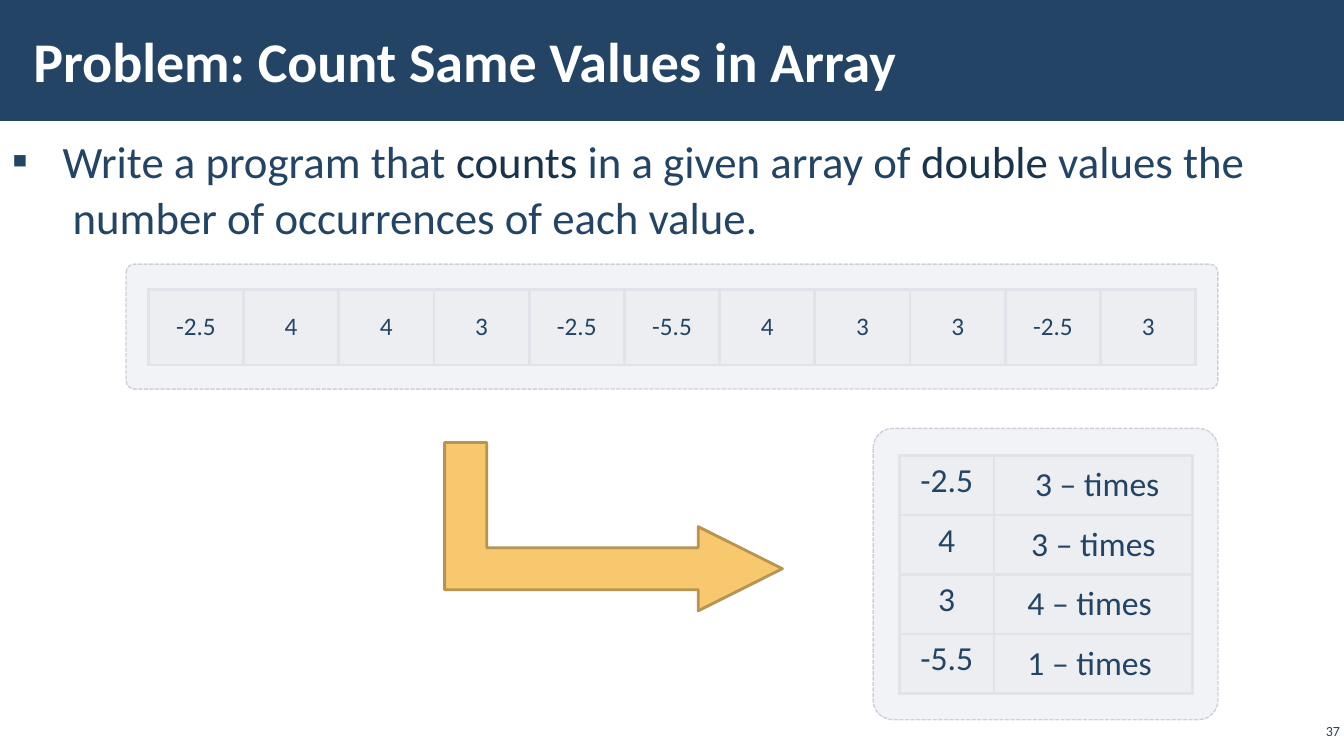
from lxml.etree import SubElement
from pptx import Presentation
from pptx.dml.color import RGBColor
from pptx.enum.dml import MSO_LINE
from pptx.enum.shapes import MSO_SHAPE
from pptx.enum.text import MSO_ANCHOR, PP_ALIGN
from pptx.oxml.ns import qn
from pptx.util import Inches, Pt

# Content
TITLE = "Problem: Count Same Values in Array"
PAGE_NUMBER = "37"
TASK_LINES = [
    [("Write a program that ", False), ("counts", True),
     (" in a given array of ", False), ("double", True), (" values the", False)],
    [(" number of occurrences of each value.", False)],
]
ARRAY_ROWS = [["-2.5", "4", "4", "3", "-2.5", "-5.5", "4", "3", "3", "-2.5", "3"]]
COUNT_ROWS = [["-2.5", " 3 – times"], ["4", "3 – times"],
              ["3", "4 – times "], ["-5.5", "1 – times "]]

# Style
FONT = "Calibri"
NAVY = RGBColor(0x23, 0x44, 0x65)
DARK = RGBColor(0x1A, 0x33, 0x4C)
WHITE = RGBColor(0xFF, 0xFF, 0xFF)
PANEL = RGBColor(0xC2, 0xC7, 0xD2)
PANEL_EDGE = RGBColor(0xA3, 0xAB, 0xBC)
CELL = RGBColor(0xE0, 0xE3, 0xE9)
GOLD = RGBColor(0xF7, 0xC8, 0x6D)
GOLD_EDGE = RGBColor(0xB7, 0x94, 0x51)

# Layout in inches
ARRAY_COLUMNS = [10.39 / 11] * 11
COUNT_COLUMNS = [0.94, 1.97]

deck = Presentation()
deck.slide_width, deck.slide_height = Inches(13.33), Inches(7.5)
page = deck.slides.add_slide(deck.slide_layouts[6])


def set_font(font, size, color, bold=False):
    font.name, font.size, font.bold = FONT, Pt(size), bold
    font.color.rgb = color


def set_opacity(properties, percent):
    color = properties.find(qn("a:solidFill")).find(qn("a:srgbClr"))
    SubElement(color, qn("a:alpha"), val=str(percent * 1000))


def add_box(left, top, width, height, anchor, side_inset):
    box = page.shapes.add_textbox(*map(Inches, (left, top, width, height)))
    frame = box.text_frame
    frame.word_wrap = True
    frame.vertical_anchor = anchor
    frame.margin_left = frame.margin_right = Inches(side_inset)
    frame.margin_top = frame.margin_bottom = Inches(0.04)
    return frame.paragraphs[0]


def add_shape(kind, left, top, width, height, fill, edge=None, edge_width=1):
    shape = page.shapes.add_shape(kind, *map(Inches, (left, top, width, height)))
    shape.shadow.inherit = False
    shape.fill.solid()
    shape.fill.fore_color.rgb = fill
    if edge is None:
        shape.line.fill.background()
    else:
        shape.line.color.rgb = edge
        shape.line.width = Pt(edge_width)
    return shape


def add_panel(left, top, width, height):
    panel = add_shape(MSO_SHAPE.ROUNDED_RECTANGLE, left, top, width, height,
                      PANEL, PANEL_EDGE)
    panel.adjustments[0] = 0.067
    panel.line.dash_style = MSO_LINE.SQUARE_DOT
    properties = panel.element.spPr
    set_opacity(properties, 20)
    set_opacity(properties.find(qn("a:ln")), 50)


def style_cell(cell, text, size, anchor):
    properties = cell._tc.get_or_add_tcPr()
    for side in ("lnL", "lnR", "lnT", "lnB"):
        border = SubElement(properties, qn(f"a:{side}"), w=str(Pt(2.25)))
        SubElement(SubElement(border, qn("a:solidFill")), qn("a:srgbClr"), val=str(CELL))
    cell.fill.solid()
    cell.fill.fore_color.rgb = CELL
    set_opacity(properties, 30)
    cell.vertical_anchor = anchor
    para = cell.text_frame.paragraphs[0]
    para.alignment = PP_ALIGN.CENTER
    set_font(para.font, size, NAVY)
    para.add_run().text = text


def add_grid(left, top, columns, row_height, rows, size, first_anchor):
    table = page.shapes.add_table(
        len(rows), len(columns), Inches(left), Inches(top),
        Inches(sum(columns)), Inches(row_height * len(rows))).table
    table.first_row = table.horz_banding = False
    for column, width in zip(table.columns, columns):
        column.width = Inches(width)
    for row, texts in zip(table.rows, rows):
        row.height = Inches(row_height)
        for index, (cell, text) in enumerate(zip(row.cells, texts)):
            style_cell(cell, text, size, MSO_ANCHOR.MIDDLE if index else first_anchor)


# Title bar and page number
add_shape(MSO_SHAPE.RECTANGLE, 0, 0, 13.33, 1.2, NAVY)
para = add_box(0.21, 0.11, 10.39, 0.97, MSO_ANCHOR.MIDDLE, 0.12)
set_font(para.font, 40, WHITE, bold=True)
para.add_run().text = TITLE

para = add_box(12.86, 7.14, 0.47, 0.22, MSO_ANCHOR.MIDDLE, 0.04)
para.alignment = PP_ALIGN.RIGHT
set_font(para.font, 10, NAVY)
para.add_run().text = PAGE_NUMBER

# Task text
para = add_box(0, 1.26, 12.91, 1.3, MSO_ANCHOR.TOP, 0.12)
para.line_spacing = 1.05
para.space_before = para.space_after = Pt(6)
bullet = para._p.get_or_add_pPr()
bullet.set("marL", str(Inches(0.5)))
bullet.set("indent", str(Inches(-0.5)))
SubElement(bullet, qn("a:buFont"), typeface=FONT)
SubElement(bullet, qn("a:buChar"), char="▪")
set_font(para.font, 32, NAVY)
for number, line in enumerate(TASK_LINES):
    if number:
        para.add_line_break()
    for text, emphasised in line:
        span = para.add_run()
        span.text = text
        if emphasised:
            span.font.color.rgb = DARK

# Input array
add_panel(1.25, 2.62, 10.83, 1.24)
add_grid(1.47, 2.87, ARRAY_COLUMNS, 0.75, ARRAY_ROWS, 18, MSO_ANCHOR.MIDDLE)

# Resulting counts
add_panel(8.66, 4.25, 3.42, 2.89)
add_grid(8.92, 4.52, COUNT_COLUMNS, 0.59, COUNT_ROWS, 24, MSO_ANCHOR.TOP)

# Arrow from array to counts
arrow = add_shape(MSO_SHAPE.BENT_UP_ARROW, 5.25, 3.55, 1.67, 3.35, GOLD, GOLD_EDGE, 2)
arrow.rotation = 90
for index, value in enumerate((0.25, 0.25, 0.5)):
    arrow.adjustments[index] = value

deck.save("out.pptx")
